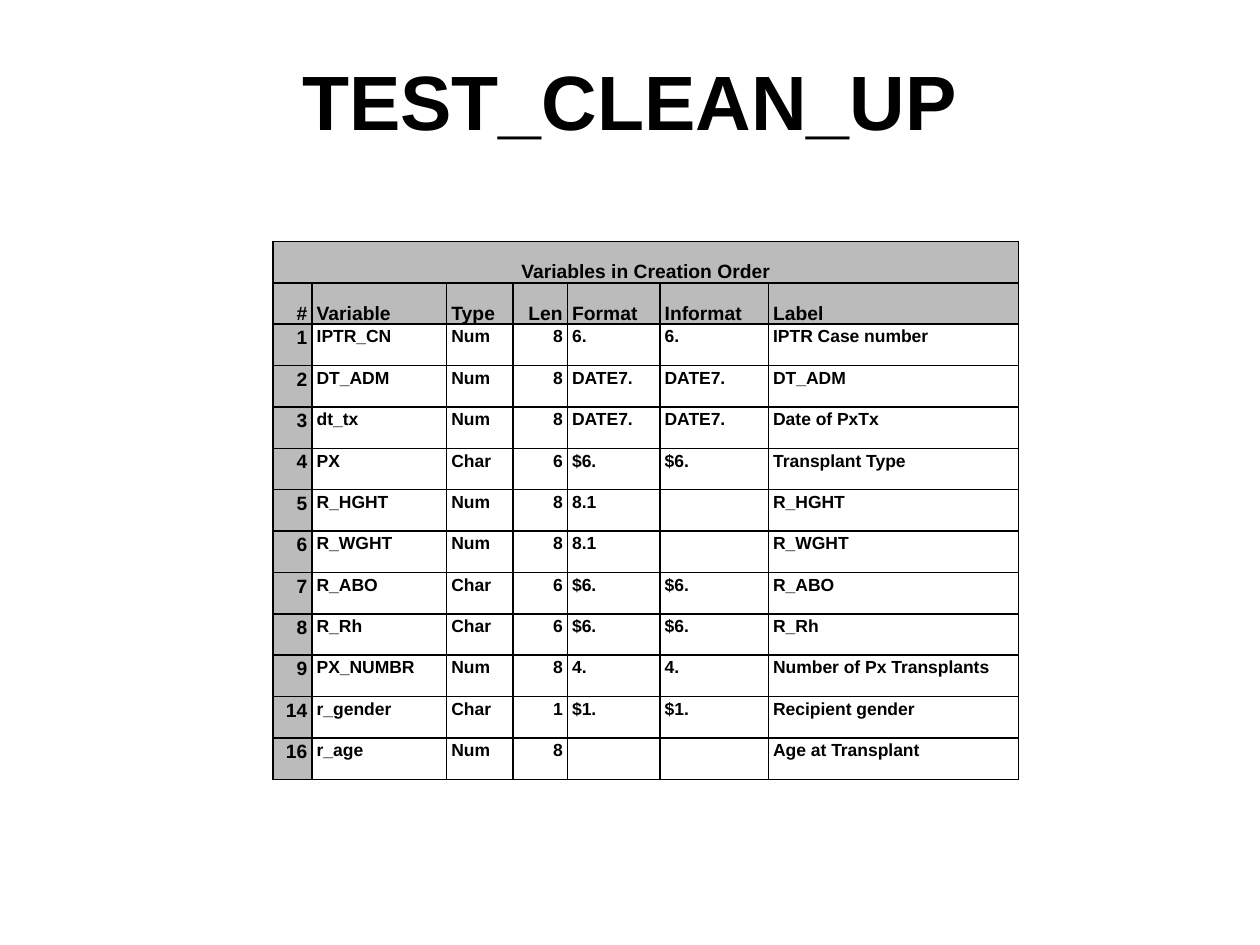
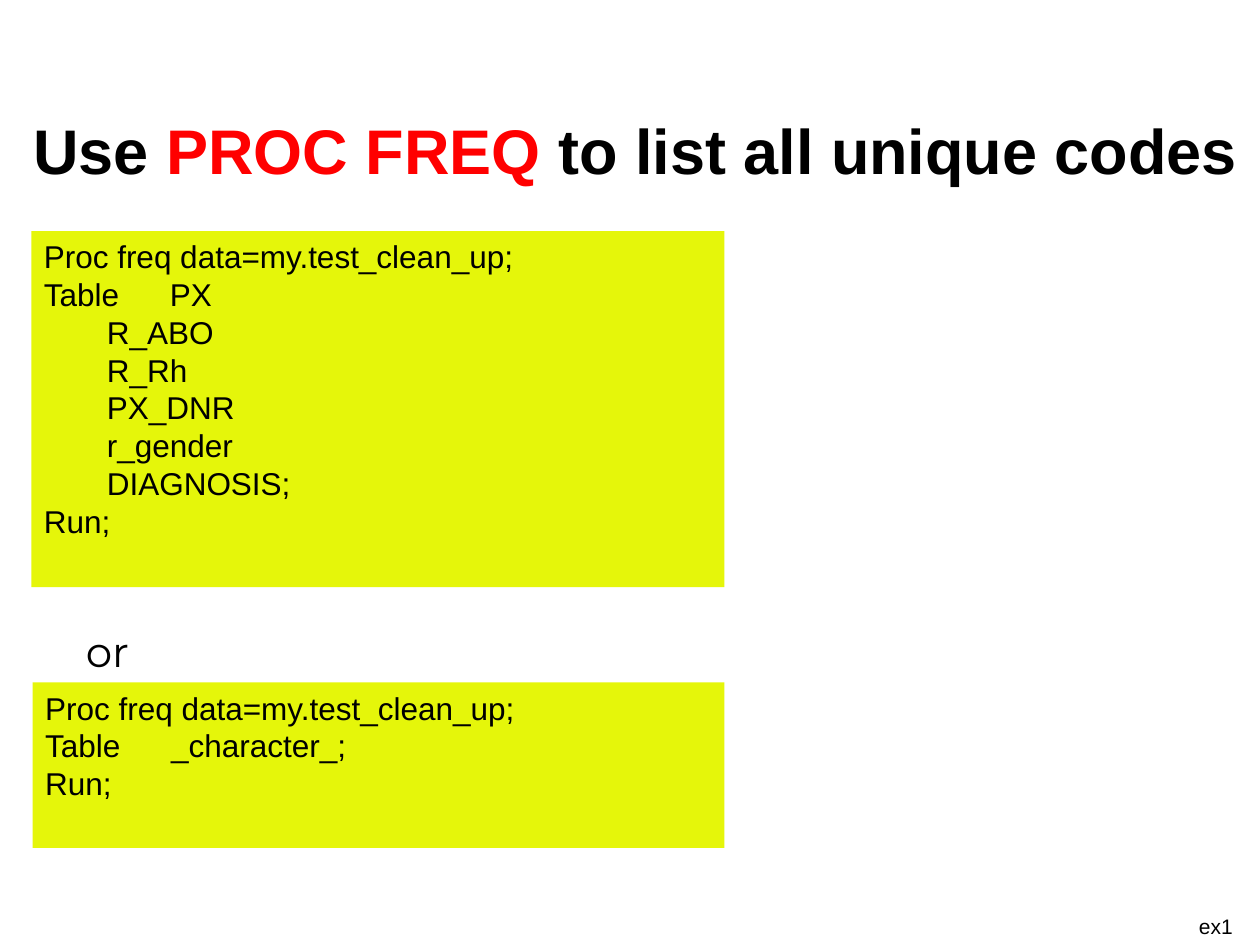
from dataclasses import dataclass
from lxml import etree
from pptx import Presentation
from pptx import util as u
from pptx.dml.color import RGBColor
from pptx.enum import shapes, text
from pptx.oxml import ns

Pt = u.Pt
HUES = {"ink": "000000", "key": "FF0000", "code": "E5F60A",
        "head": "BBBBBB", "cell": "FFFFFF"}
FONT = "Arial"
LEFT, MID, RIGHT = text.PP_ALIGN.LEFT, text.PP_ALIGN.CENTER, text.PP_ALIGN.RIGHT


@dataclass
class Box:
    """A place on the slide, in points."""
    x: float
    y: float
    w: float
    h: float

    def lengths(self) -> list:
        """Give left, top, width and height."""
        return [Pt(n) for n in (self.x, self.y, self.w, self.h)]


@dataclass
class Label:
    """A block of text without fill."""
    box: Box
    runs: list  # pairs of words and colour name
    size: float
    bold: bool = False
    font: str = FONT
    align: int = LEFT
    anchor: int = text.MSO_ANCHOR.TOP
    wrap: bool = True
    before: float = 0


@dataclass
class Code:
    """A filled panel with lines of code."""
    box: Box
    lines: list


@dataclass
class Col:
    """A table column."""
    name: str
    width: float
    align: int = LEFT


def rgb(name: str) -> RGBColor:
    """Look up a colour by name."""
    return RGBColor.from_string(HUES[name])


def style(para, size: float, bold=False, font=FONT, align=LEFT) -> None:
    """Set font and alignment of a paragraph."""
    para.alignment = align
    face = para.font
    face.name, face.size, face.bold = font, Pt(size), bold
    face.color.rgb = rgb("ink")


def add_label(slide, item: Label) -> None:
    """Draw a text box."""
    frame = slide.shapes.add_textbox(*item.box.lengths()).text_frame
    frame.word_wrap = item.wrap
    frame.vertical_anchor = item.anchor
    para = frame.paragraphs[0]
    style(para, item.size, item.bold, item.font, item.align)
    para.space_before = Pt(item.before)
    for words, hue in item.runs:
        run = para.add_run()
        run.text = words
        if hue != "ink":
            run.font.color.rgb = rgb(hue)


def add_code(slide, item: Code) -> None:
    """Draw a code panel."""
    panel = slide.shapes.add_shape(shapes.MSO_SHAPE.RECTANGLE, *item.box.lengths())
    panel.shadow.inherit = False
    panel.fill.solid()
    panel.fill.fore_color.rgb = rgb("code")
    panel.line.fill.background()
    frame = panel.text_frame
    frame.word_wrap = True
    frame.vertical_anchor = text.MSO_ANCHOR.TOP
    frame.text = "\n".join(item.lines)
    for para in frame.paragraphs:
        style(para, 18)


def edge(cell) -> None:
    """Give a cell thin borders on all sides."""
    props = cell._tc.get_or_add_tcPr()
    for side in ("lnL", "lnR", "lnT", "lnB"):
        line = etree.SubElement(props, ns.qn("a:" + side), w=str(Pt(1)))
        fill = etree.SubElement(line, ns.qn("a:solidFill"))
        etree.SubElement(fill, ns.qn("a:srgbClr"), val=HUES["ink"])


def fill_cell(cell, words: str, align: int, head: bool, low: bool) -> None:
    """Write and colour a cell; low puts the text at the bottom."""
    edge(cell)
    cell.fill.solid()
    cell.fill.fore_color.rgb = rgb("head" if head else "cell")
    cell.margin_left = cell.margin_right = Pt(2.7)
    cell.margin_top = cell.margin_bottom = 0
    cell.vertical_anchor = text.MSO_ANCHOR.BOTTOM if low else text.MSO_ANCHOR.TOP
    if words:
        para = cell.text_frame.paragraphs[0]
        para.text = words
        style(para, 11 if head else 10, True, align=align)
        para.line_spacing = 1.15
        para.space_before = para.space_after = Pt(3)


def add_grid(slide, x: float, y: float, title: str, cols: list, rows: list) -> None:
    """Draw a table with a title row, a header row and a grey first column."""
    step, count = 23.65, len(rows) + 2
    box = Box(x, y, sum(c.width for c in cols), step * count)
    table = slide.shapes.add_table(count, len(cols), *box.lengths()).table
    for col, spot in zip(cols, table.columns):
        spot.width = Pt(col.width)
    for spot in table.rows:
        spot.height = Pt(step)
    top = [title] + [""] * (len(cols) - 1)
    for r, row in enumerate([top, [c.name for c in cols], *rows]):
        for c, words in enumerate(row):
            align = MID if r == 0 else cols[c].align
            fill_cell(table.cell(r, c), words, align, r < 2 or c == 0, r < 2)
    table.cell(0, 0).merge(table.cell(0, len(cols) - 1))


COLS = [Col("#", 22.3, RIGHT), Col("Variable", 77), Col("Type", 38),
        Col("Len", 31, RIGHT), Col("Format", 52.9), Col("Informat", 62),
        Col("Label", 143)]
ROWS = [
    ("1", "IPTR_CN", "Num", "8", "6.", "6.", "IPTR Case number"),
    ("2", "DT_ADM", "Num", "8", "DATE7.", "DATE7.", "DT_ADM"),
    ("3", "dt_tx", "Num", "8", "DATE7.", "DATE7.", "Date of PxTx"),
    ("4", "PX", "Char", "6", "$6.", "$6.", "Transplant Type"),
    ("5", "R_HGHT", "Num", "8", "8.1", "", "R_HGHT"),
    ("6", "R_WGHT", "Num", "8", "8.1", "", "R_WGHT"),
    ("7", "R_ABO", "Char", "6", "$6.", "$6.", "R_ABO"),
    ("8", "R_Rh", "Char", "6", "$6.", "$6.", "R_Rh"),
    ("9", "PX_NUMBR", "Num", "8", "4.", "4.", "Number of Px Transplants"),
    ("14", "r_gender", "Char", "1", "$1.", "$1.", "Recipient gender"),
    ("16", "r_age", "Num", "8", "", "", "Age at Transplant"),
]
OPEN, END = "Proc freq data=my.test_clean_up;", "Run;"
CODES = [
    Code(Box(18, 132, 396, 203.5),
         [OPEN, "Table \tPX", "\tR_ABO", "\tR_Rh", "\tPX_DNR", "\tr_gender",
          "\tDIAGNOSIS;", END]),
    Code(Box(18.7, 390, 395.3, 94.5), [OPEN, "Table \t_character_;", END]),
]
NAME = Label(Box(36, 12, 648, 90), [("TEST_CLEAN_UP", "ink")], 44, True,
             align=MID, anchor=text.MSO_ANCHOR.MIDDLE)
NOTES = [
    Label(Box(12, 60, 708, 84),
          [("Use ", "ink"), ("PROC FREQ ", "key"),
           ("to list all unique codes", "ink")], 36, True, before=5),
    Label(Box(678, 518.4, 34, 21.6), [("ex1", "ink")], 12, wrap=False),
    Label(Box(42, 354, 42, 36), [("or", "ink")], 24, font="Montserrat", wrap=False),
]


def main() -> None:
    """Build and save both slides."""
    deck = Presentation()
    deck.slide_width, deck.slide_height = Pt(720), Pt(540)
    blank = deck.slide_layouts[6]

    first = deck.slides.add_slide(blank)
    add_label(first, NAME)
    add_grid(first, 156, 138, "Variables in Creation Order", COLS, ROWS)

    second = deck.slides.add_slide(blank)
    for code in CODES:
        add_code(second, code)
    for note in NOTES:
        add_label(second, note)
    deck.save("out.pptx")


main()
